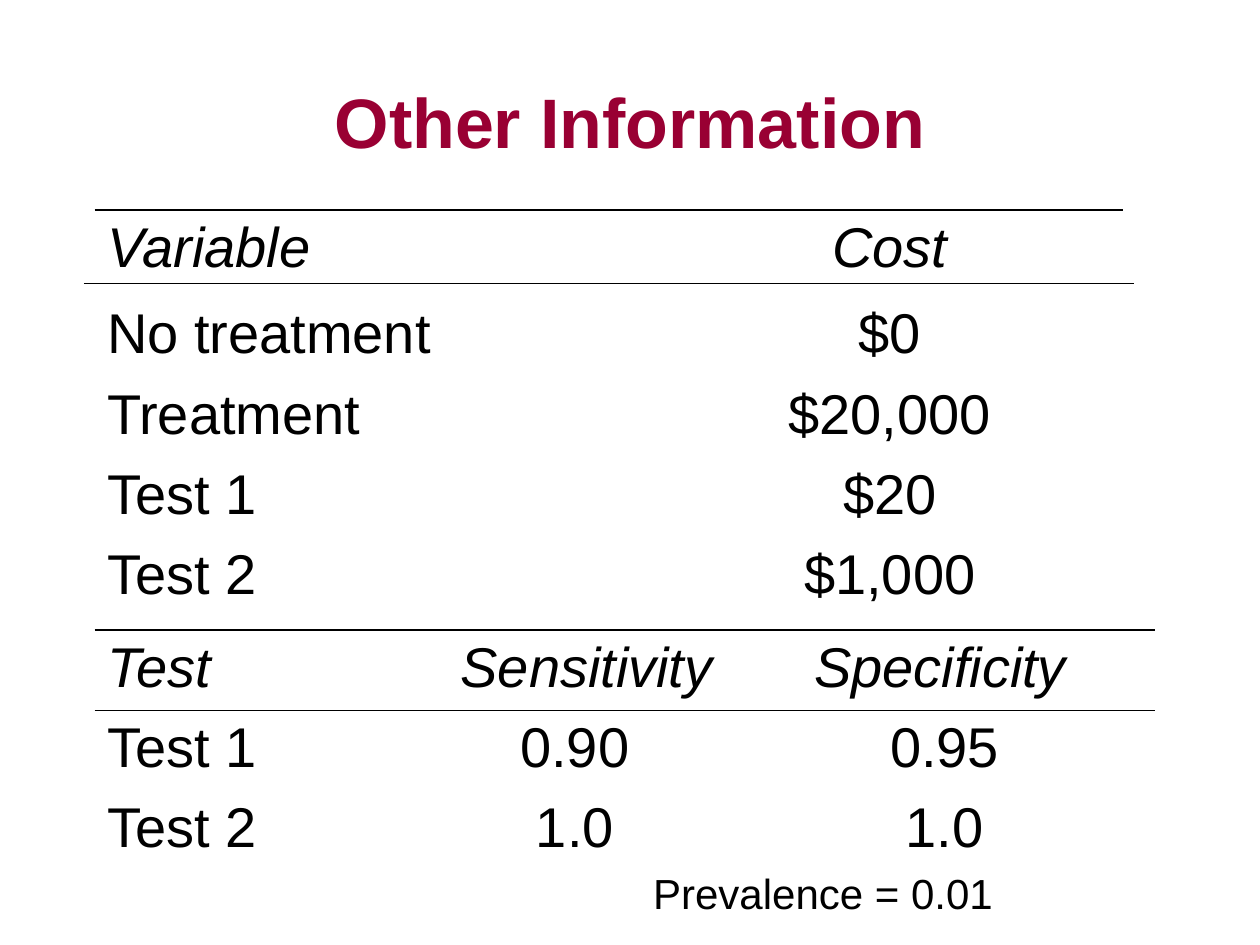
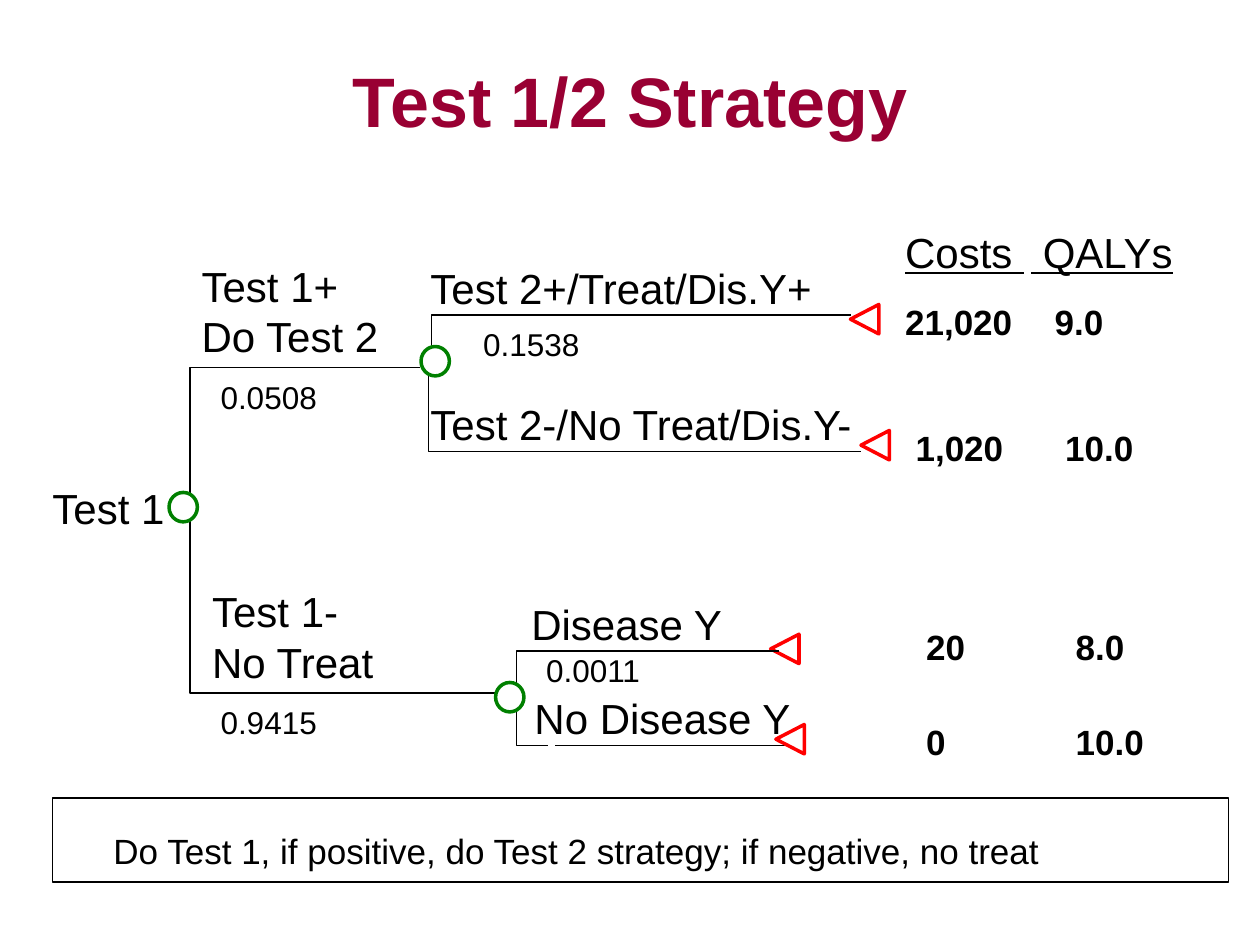
import lxml.etree
import pptx
import pptx.dml.color
import pptx.enum.shapes
import pptx.enum.text
import pptx.oxml
import pptx.oxml.ns
import pptx.util

MAROON = pptx.dml.color.RGBColor(0x99, 0x00, 0x33)
BLACK = pptx.dml.color.RGBColor(0x00, 0x00, 0x00)
WHITE = pptx.dml.color.RGBColor(0xFF, 0xFF, 0xFF)
RED = pptx.dml.color.RGBColor(0xFF, 0x00, 0x00)
GREEN = pptx.dml.color.RGBColor(0x00, 0x80, 0x00)
FONT = "Arial"
COLUMNS, ROWS = 120, 90
NO_TABLE_STYLE = "{2D5ABB26-0587-4C30-8999-92F81FD0307C}"
MARK_W, MARK_H = 2.7, 2.8
ALIGN = pptx.enum.text.PP_ALIGN
SHAPE = pptx.enum.shapes.MSO_SHAPE
qn = pptx.oxml.ns.qn


class Deck:
    """Keeps the style and the current slide; lengths are grid columns and rows."""

    def __init__(self):
        self.prs = pptx.Presentation()
        self.prs.slide_width = pptx.util.Inches(10)
        self.prs.slide_height = pptx.util.Inches(7.5)
        self.s = None

    def x(self, columns):
        return round(self.prs.slide_width * columns / COLUMNS)

    def y(self, rows):
        return round(self.prs.slide_height * rows / ROWS)

    def box(self, left, top, width, height):
        return self.x(left), self.y(top), self.x(width), self.y(height)

    def font(self, p, size, color=BLACK, bold=False, italic=False, underline=False):
        f = p.font
        f.name, f.size, f.bold, f.italic = FONT, pptx.util.Pt(size), bold, italic
        f.underline = underline
        f.color.rgb = color

    def slide(self, title, top):
        self.s = self.prs.slides.add_slide(self.prs.slide_layouts[5])
        sp = self.s.shapes.title
        sp.left, sp.top, sp.width, sp.height = self.box(9, top, 102, 15)
        tf = sp.text_frame
        tf.text = title
        tf.vertical_anchor = pptx.enum.text.MSO_ANCHOR.MIDDLE
        tf.paragraphs[0].alignment = ALIGN.CENTER
        self.font(tf.paragraphs[0], 40, MAROON, bold=True)

    def text(self, left, top, width, text, size=24, tab=None, **style):
        """Text without insets; tab is a left tab stop in columns."""
        lines = text.split("\n")
        height = len(lines) * size / 5
        tf = self.s.shapes.add_textbox(*self.box(left, top, width, height)).text_frame
        tf.word_wrap = True
        tf.margin_left = tf.margin_right = tf.margin_top = tf.margin_bottom = 0
        for i, line in enumerate(lines):
            p = tf.add_paragraph() if i else tf.paragraphs[0]
            p.text = line
            if tab:
                tabs = lxml.etree.SubElement(p._p.get_or_add_pPr(), qn("a:tabLst"))
                lxml.etree.SubElement(tabs, qn("a:tab"), pos=str(self.x(tab)), algn="l")
            self.font(p, size, **style)

    def line(self, x1, y1, x2):
        c = self.s.shapes.add_connector(
            pptx.enum.shapes.MSO_CONNECTOR.STRAIGHT,
            self.x(x1), self.y(y1), self.x(x2), self.y(y1))
        c.line.color.rgb = BLACK
        c.line.width = pptx.util.Pt(0.75)
        lxml.etree.SubElement(c._element.spPr, qn("a:effectLst"))

    def style(self, sp, color, width, fill=None):
        sp.shadow.inherit = False
        if fill is None:
            sp.fill.background()
        else:
            sp.fill.solid()
            sp.fill.fore_color.rgb = fill
        sp.line.color.rgb = color
        sp.line.width = pptx.util.Pt(width)

    def outline(self, points, close):
        start, *rest = [(self.x(px), self.y(py)) for px, py in points]
        fb = self.s.shapes.build_freeform(*start)
        fb.add_line_segments(rest, close=close)
        return fb.convert_to_shape()

    def elbow(self, x, y_root, y_end, x_end):
        points = [(x, y_root), (x, y_end), (x_end, y_end)]
        self.style(self.outline(points, False), BLACK, 0)

    def end_node(self, left, top):
        right = left + MARK_W
        points = [(left, top + MARK_H / 2), (right, top), (right, top + MARK_H)]
        self.style(self.outline(points, True), RED, 2, WHITE)

    def chance_node(self, left, top):
        sp = self.s.shapes.add_shape(SHAPE.OVAL, *self.box(left, top, MARK_W, MARK_H))
        self.style(sp, GREEN, 2, WHITE)

    def banner(self, left, top, width, height, text):
        sp = self.s.shapes.add_shape(SHAPE.RECTANGLE, *self.box(left, top, width, height))
        self.style(sp, BLACK, 0.75)
        tf = sp.text_frame
        tf.word_wrap = True
        tf.vertical_anchor = pptx.enum.text.MSO_ANCHOR.TOP
        tf.margin_left, tf.margin_top = self.x(5.8), self.y(3)
        p = tf.paragraphs[0]
        p.text = text
        p.alignment = ALIGN.LEFT
        self.font(p, 20)

    def rule_below(self, cell):
        ln = pptx.oxml.parse_xml(
            f'<a:lnB {pptx.oxml.ns.nsdecls("a")} w="5715"><a:solidFill>'
            f'<a:srgbClr val="{BLACK}"/></a:solidFill></a:lnB>')
        cell._tc.get_or_add_tcPr().insert(0, ln)

    def table(self, top, heights, rows, insets, center_header, rule_header):
        """insets: right inset of each centred column, in columns."""
        n = len(rows[0])
        shape = self.s.shapes.add_table(
            len(rows), n, *self.box(9, top, 101, sum(heights)))
        table = shape.table
        table.first_row = table.horz_banding = False
        table._tbl.tblPr.find(qn("a:tableStyleId")).text = NO_TABLE_STYLE
        for row, height in zip(table.rows, heights):
            row.height = self.y(height)
        for column in table.columns:
            column.width = self.x(101 / n)
        for i, row in enumerate(rows):
            for j, value in enumerate(row):
                cell = table.cell(i, j)
                cell.fill.background()
                p = cell.text_frame.paragraphs[0]
                p.text = value
                if j and (i or center_header):
                    p.alignment = ALIGN.CENTER
                    cell.margin_right = self.x(insets[j - 1])
                self.font(p, 32, italic=i == 0)
                if i == 0 and rule_header:
                    self.rule_below(cell)


def other_information(d):
    d.slide("Other Information", 4)
    costs = [("Variable", "Cost"), ("No treatment", "$0"), ("Treatment", "$20,000"),
             ("Test 1", "$20"), ("Test 2", "$1,000")]
    d.table(20, [8.25] + [7.65] * 4, costs, [1.2], True, False)
    accuracy = [("Test", "Sensitivity", "Specificity"), ("Test 1", "0.90", "0.95"),
                ("Test 2", "1.0", "1.0")]
    d.table(60, [7.65] * 3, accuracy, [10.7, 7.6], False, True)
    for x1, y, x2 in [(8, 27, 108), (9, 20, 107), (9, 60, 110)]:
        d.line(x1, y, x2)
    d.text(62.2, 82.6, 39, "Prevalence = 0.01")


def test_strategy(d):
    d.slide("Test 1/2 Strategy", 2)
    d.banner(5, 76, 112, 8,
             "Do Test 1, if positive, do Test 2 strategy; if negative, no treat")
    d.end_node(73.4, 60.4)
    for elbow in [(18.1, 42.3, 35, 20.9), (18.1, 42.3, 66, 19.9),
                  (41.1, 34, 30, 45.1), (40.8, 34, 43, 45.1),
                  (49.2, 66, 62, 52.2), (49.2, 66, 71, 52.2)]:
        d.elbow(*elbow)
    for branch in [(20.2, 35, 40), (19.9, 66, 47.9), (44, 30, 81),
                   (44.8, 43, 82), (52.2, 62, 74.2), (52.9, 71, 74.9)]:
        d.line(*branch)
    for node in [(16.1, 46.9), (40.1, 33), (47.2, 65)]:
        d.chance_node(*node)
    for node in [(81, 29), (82, 41), (73.9, 69)]:
        d.end_node(*node)
    for label in [(5, 46, 11.5, "Test 1"),
                  (19.2, 24.8, 20, "Test 1+\nDo Test 2"),
                  (20.2, 55.8, 20, "Test 1-\nNo Treat"),
                  (41, 25, 40, "Test 2+/Treat/Dis.Y+"),
                  (41, 38, 43, "Test 2-/No Treat/Dis.Y-"),
                  (50.6, 57, 20, "Disease Y"),
                  (50.9, 66, 26, "No Disease Y")]:
        d.text(*label)
    for left, top, probability in [(21, 36, "0.0508"), (21, 67, "0.9415"),
                                   (46, 31, "0.1538"), (52, 62, "0.0011")]:
        d.text(left, top, 10, probability, 18)
    d.text(86.2, 21.6, 28, "Costs \t QALYs", tab=12, underline=True)
    for left, top, outcome in [(86.2, 28.6, "21,020\t9.0"), (87.2, 40.6, "1,020\t10.0"),
                               (88.2, 59.6, "20\t8.0"), (88.2, 68.6, "0\t10.0")]:
        d.text(left, top, 22, outcome, 20, tab=14.25, bold=True)


def main():
    d = Deck()
    other_information(d)
    test_strategy(d)
    d.prs.save("out.pptx")


if __name__ == "__main__":
    main()
